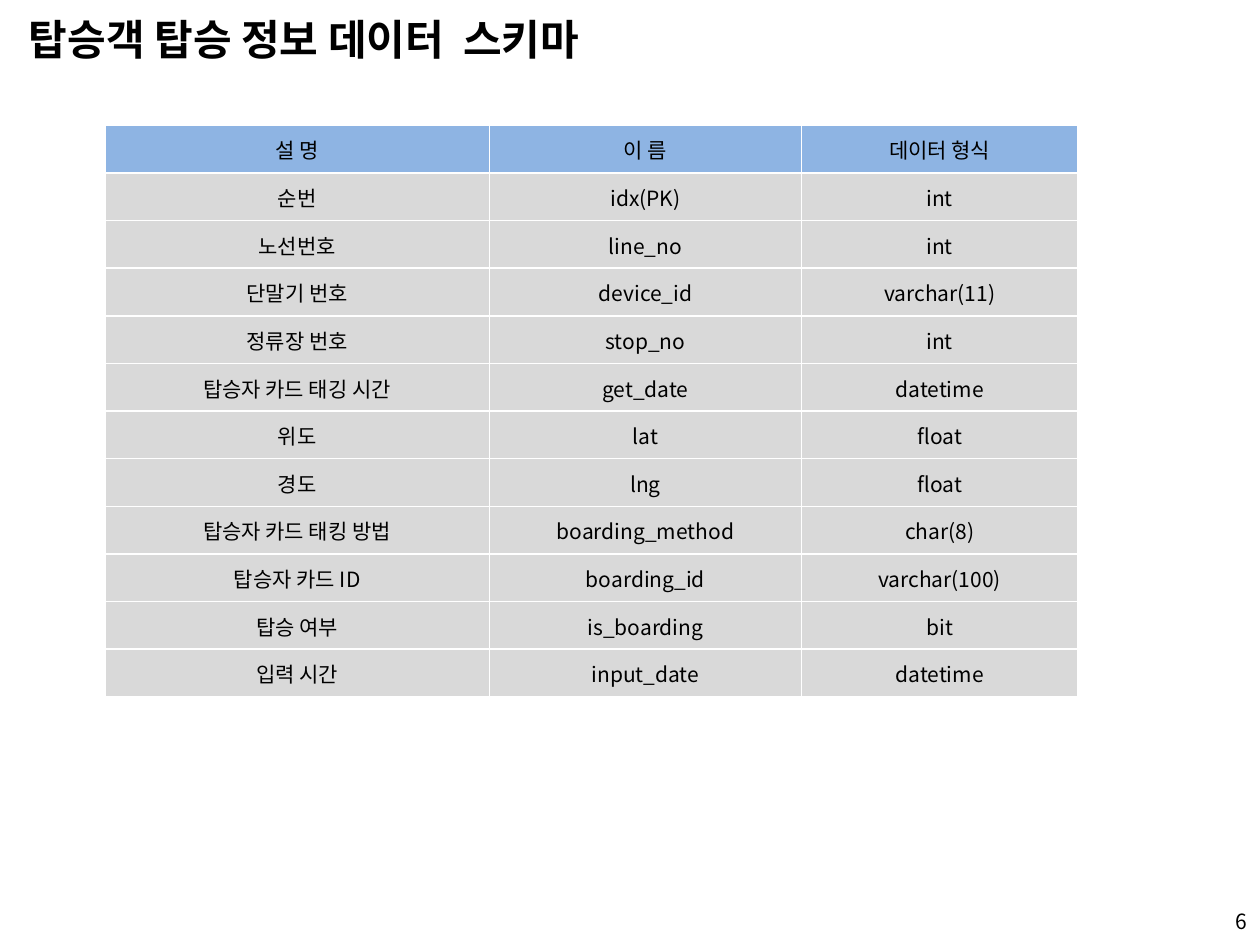
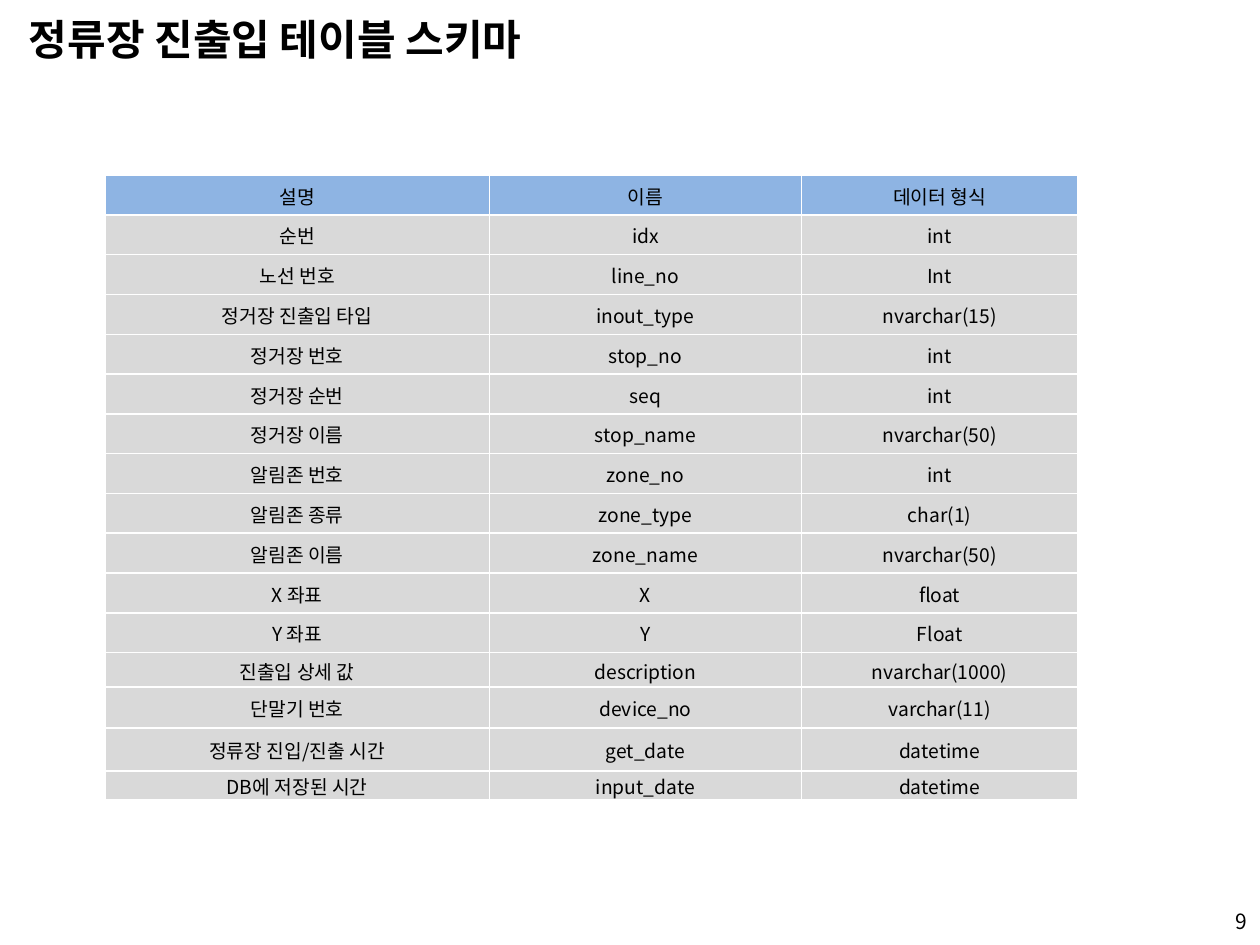
from dataclasses import dataclass

from lxml import etree
from pptx import Presentation
from pptx.dml.color import RGBColor
from pptx.enum.text import MSO_ANCHOR, MSO_AUTO_SIZE, PP_ALIGN
from pptx.oxml.ns import qn
from pptx.util import Inches, Pt

LEFT, CENTER, RIGHT = PP_ALIGN.LEFT, PP_ALIGN.CENTER, PP_ALIGN.RIGHT
MIDDLE, BOTTOM = MSO_ANCHOR.MIDDLE, MSO_ANCHOR.BOTTOM
NO_AUTOFIT = MSO_AUTO_SIZE.NONE
TITLE_ONLY = 5
GRID_COLUMNS, GRID_ROWS = 100, 75


@dataclass(frozen=True)
class Theme:
    text: str = "000000"
    header: str = "8EB4E3"
    body: str = "D9D9D9"
    border: str = "FFFFFF"
    title_font: str = "Arial"
    body_font: str = "Noto Sans CJK KR"
    title_size: int = 24
    number_size: int = 12
    border_width: int = 1


# Places in grid columns and rows: left, top, width, height
TITLE_PLACE = (1.3, 0.1, 96, 6)
NUMBER_PLACE = (90.8, 70.6, 9.2, 4)
TABLE_LEFT = 8.33
TABLE_COLUMNS = (30.5, 24.8, 21.9)

BOARDING_FIELDS = (
    ("설 명", "이 름", "데이터 형식"),
    ("순번", "idx(PK)", "int"),
    ("노선번호", "line_no", "int"),
    ("단말기 번호", "device_id", "varchar(11)"),
    ("정류장 번호", "stop_no", "int"),
    ("탑승자 카드 태깅 시간", "get_date", "datetime"),
    ("위도", "lat", "float"),
    ("경도", "lng", "float"),
    ("탑승자 카드 태킹 방법", "boarding_method", "char(8)"),
    ("탑승자 카드 ID", "boarding_id", "varchar(100)"),
    ("탑승 여부", "is_boarding", "bit"),
    ("입력 시간", "input_date", "datetime"),
)

STOP_FIELDS = (
    ("설명", "이름", "데이터 형식"),
    ("순번", "idx", "int"),
    ("노선 번호", "line_no", "Int"),
    ("정거장 진출입 타입", "inout_type", "nvarchar(15)"),
    ("정거장 번호", "stop_no", "int"),
    ("정거장 순번", "seq", "int"),
    ("정거장 이름", "stop_name", "nvarchar(50)"),
    ("알림존 번호", "zone_no", "int"),
    ("알림존 종류", "zone_type", "char(1)"),
    ("알림존 이름", "zone_name", "nvarchar(50)"),
    ("X 좌표", "X", "float"),
    ("Y 좌표", "Y", "Float"),
    ("진출입 상세 값", "description", "nvarchar(1000)"),
    ("단말기 번호", "device_no", "varchar(11)"),
    ("정류장 진입/진출 시간", "get_date", "datetime"),
    ("DB에 저장된 시간", "input_date", "datetime"),
)


class SchemaDeck:
    def __init__(self, theme):
        self.theme = theme
        self.presentation = Presentation()
        self.presentation.slide_width = Inches(10)
        self.presentation.slide_height = Inches(7.5)
        self.slide = None

    def across(self, columns):
        return round(self.presentation.slide_width * columns / GRID_COLUMNS)

    def down(self, rows):
        return round(self.presentation.slide_height * rows / GRID_ROWS)

    def place(self, left, top, width, height):
        return self.across(left), self.down(top), self.across(width), self.down(height)

    def set_text(self, text_frame, text, size, font_name, alignment, bold=False):
        text_frame.text = text
        text_frame.word_wrap = True
        paragraph = text_frame.paragraphs[0]
        paragraph.alignment = alignment
        for run in paragraph.runs:
            run.font.name = font_name
            run.font.size = Pt(size)
            run.font.bold = bold
            run.font.color.rgb = RGBColor.from_string(self.theme.text)
            east_asian = etree.SubElement(run._r.get_or_add_rPr(), qn("a:ea"))
            east_asian.set("typeface", self.theme.body_font)

    def add_slide(self, title, number):
        layout = self.presentation.slide_layouts[TITLE_ONLY]
        self.slide = self.presentation.slides.add_slide(layout)
        self.add_title(title)
        self.add_number(number)

    def add_title(self, text):
        title = self.slide.shapes.title
        title.left, title.top, title.width, title.height = self.place(*TITLE_PLACE)
        title.text_frame.auto_size = NO_AUTOFIT
        title.text_frame.vertical_anchor = MIDDLE
        self.set_text(title.text_frame, text, self.theme.title_size,
                      self.theme.title_font, LEFT, bold=True)

    def add_number(self, number):
        text_frame = self.slide.shapes.add_textbox(*self.place(*NUMBER_PLACE)).text_frame
        text_frame.vertical_anchor = BOTTOM
        self.set_text(text_frame, str(number), self.theme.number_size,
                      self.theme.body_font, RIGHT)

    def add_table(self, fields, top, height, size, last_heights=()):
        """Share the height equally among the rows before those in last_heights."""
        equal_count = len(fields) - len(last_heights)
        equal_height = (height - sum(last_heights)) / equal_count
        row_heights = [equal_height] * equal_count + list(last_heights)
        place = self.place(TABLE_LEFT, top, sum(TABLE_COLUMNS), height)
        table = self.slide.shapes.add_table(
            len(fields), len(TABLE_COLUMNS), *place).table
        table.first_row = table.horz_banding = False
        for column, width in zip(table.columns, TABLE_COLUMNS):
            column.width = self.across(width)
        for index, (row, row_height) in enumerate(zip(table.rows, row_heights)):
            row.height = self.down(row_height)
            fill = self.theme.body if index else self.theme.header
            for cell, text in zip(row.cells, fields[index]):
                self.format_cell(cell, text, size, fill)

    def format_cell(self, cell, text, size, fill):
        cell.margin_left = cell.margin_right = cell.margin_top = Inches(0.01)
        cell.margin_bottom = 0
        cell.vertical_anchor = MIDDLE
        self.set_text(cell.text_frame, text, size, self.theme.body_font, CENTER)
        self.add_borders(cell)
        cell.fill.solid()
        cell.fill.fore_color.rgb = RGBColor.from_string(fill)

    def add_borders(self, cell):
        properties = cell._tc.get_or_add_tcPr()
        for side in ("a:lnL", "a:lnR", "a:lnT", "a:lnB"):
            line = etree.SubElement(properties, qn(side))
            line.set("w", str(Pt(self.theme.border_width)))
            solid_fill = etree.SubElement(line, qn("a:solidFill"))
            etree.SubElement(solid_fill, qn("a:srgbClr")).set("val", self.theme.border)


def main():
    deck = SchemaDeck(Theme())
    deck.add_slide("탑승객 탑승 정보 데이터  스키마", 6)
    deck.add_table(BOARDING_FIELDS, top=9.95, height=45.4, size=12)
    deck.add_slide("정류장 진출입 테이블 스키마", 9)
    deck.add_table(STOP_FIELDS, top=13.9, height=49.6, size=11,
                   last_heights=(2.75, 3.25, 3.4, 2.3))
    deck.presentation.save("out.pptx")


if __name__ == "__main__":
    main()
